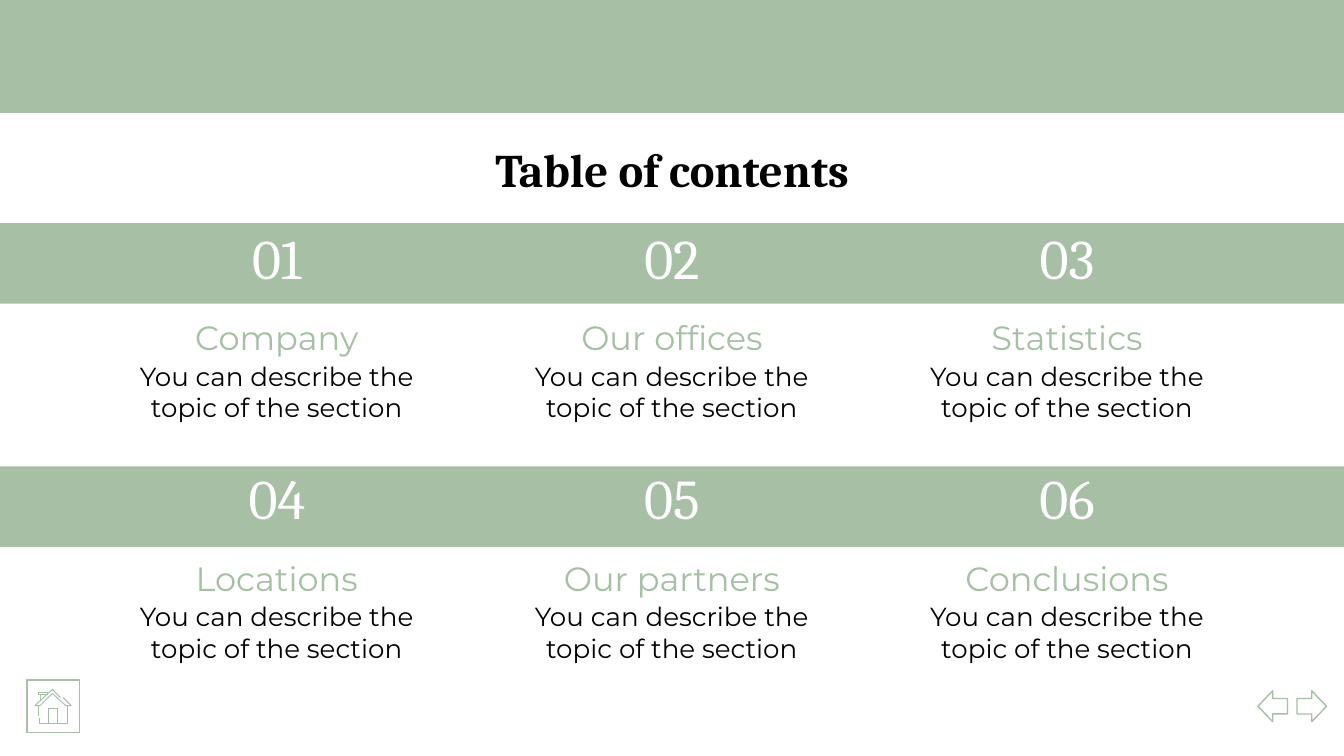
from pptx import Presentation
from pptx.dml.color import RGBColor
from pptx.enum.shapes import MSO_SHAPE as Preset
from pptx.enum.text import MSO_ANCHOR as Anchor, MSO_AUTO_SIZE as AutoSize, PP_ALIGN as Align
from pptx.util import Inches, Pt

SAGE, WHITE, BLACK = "A6BFA5", "FFFFFF", "000000"
SERIF, SANS = "Cambria", "Montserrat"
TOPICS = ["Company", "Our offices", "Statistics",
          "Locations", "Our partners", "Conclusions"]
DESCRIPTION = "You can describe the topic of the section"
COLUMNS = 3
COLUMN_PITCH, ROW_PITCH = 2.94, 1.79
BANDS = [(0, 1.66, 10, 0.6), (0, 3.47, 10, 0.6), (-0.05, -0.06, 10.11, 0.9)]

HOUSE_STROKES = [
    [(0.29, 5.34), (0.29, 5.38), (0.5, 5.38), (0.5, 5.25)],     # walls
    [(0.29, 5.25), (0.29, 5.33)],
    [(0.45, 5.19), (0.39, 5.13), (0.26, 5.25), (0.3, 5.25),     # roof
     (0.39, 5.16), (0.49, 5.25), (0.53, 5.25), (0.47, 5.19)],
    [(0.3, 5.21), (0.3, 5.17), (0.29, 5.17), (0.29, 5.15),      # chimney
     (0.35, 5.15), (0.35, 5.17), (0.3, 5.17)],
    [(0.36, 5.38), (0.36, 5.27), (0.43, 5.27), (0.43, 5.38)],   # door
]


def rgb(hex_color):
    return RGBColor.from_string(hex_color)


def add_preset(slide, preset, box, fill, outline=None, rotation=0):
    shape = slide.shapes.add_shape(preset, *map(Inches, box))
    shape.shadow.inherit = False
    shape.rotation = rotation
    shape.fill.solid()
    shape.fill.fore_color.rgb = rgb(fill)
    if outline:
        shape.line.color.rgb = rgb(outline)
        shape.line.width = Pt(0.75)
    else:
        shape.line.fill.background()


def write_text(holder, text, size, font, color, anchor, bold=False):
    frame = holder.text_frame
    frame.word_wrap = True
    frame.auto_size = AutoSize.NONE
    frame.vertical_anchor = anchor
    frame.margin_left = frame.margin_right = Inches(0.1)
    frame.margin_top = frame.margin_bottom = Inches(0.1)
    paragraph = frame.paragraphs[0]
    paragraph.alignment = Align.CENTER
    run = paragraph.add_run()
    run.text = text
    run.font.size = Pt(size)
    run.font.name = font
    run.font.bold = bold
    run.font.color.rgb = rgb(color)


def add_label(slide, box, *text_style):
    write_text(slide.shapes.add_textbox(*map(Inches, box)), *text_style)


def add_title(slide, text):
    title = slide.shapes.title
    title.left, title.top = Inches(0.78), Inches(0.95)
    title.width, title.height = Inches(8.44), Inches(0.6)
    write_text(title, text, 25, SERIF, BLACK, Anchor.TOP, True)


def add_section(slide, index, topic):
    row, column = divmod(index, COLUMNS)
    center = 5 + (column - 1) * COLUMN_PITCH
    drop = row * ROW_PITCH
    text_left = center - 1.28
    add_label(slide, (center - 0.57, 1.6 + drop, 1.14, 0.66),
              f"{index + 1:02}", 30, SERIF, WHITE, Anchor.BOTTOM)
    add_label(slide, (text_left, 2.58 + drop, 2.56, 0.66),
              DESCRIPTION, 14, SANS, BLACK, Anchor.TOP)
    add_label(slide, (text_left, 2.25 + drop, 2.56, 0.51),
              topic, 18, SANS, SAGE, Anchor.BOTTOM)


def add_stroke(slide, points):
    start, *rest = [(Inches(x), Inches(y)) for x, y in points]
    builder = slide.shapes.build_freeform(*start)
    builder.add_line_segments(rest, close=False)
    stroke = builder.convert_to_shape()
    stroke.shadow.inherit = False
    stroke.fill.background()
    stroke.line.color.rgb = rgb(SAGE)
    stroke.line.width = Pt(0.5)


def add_navigation(slide):
    for left, rotation in ((9.36, 0), (9.65, 180)):
        add_preset(slide, Preset.LEFT_ARROW, (left, 5.14, 0.22, 0.23), WHITE, SAGE, rotation)
    add_preset(slide, Preset.RECTANGLE, (0.2, 5.06, 0.39, 0.39), WHITE, SAGE)
    for points in HOUSE_STROKES:
        add_stroke(slide, points)


def main():
    deck = Presentation()
    deck.slide_width = Inches(10)
    deck.slide_height = deck.slide_width * 9 // 16
    slide = deck.slides.add_slide(deck.slide_layouts[5])
    slide.background.fill.solid()
    slide.background.fill.fore_color.rgb = rgb(WHITE)

    for band in BANDS:
        add_preset(slide, Preset.RECTANGLE, band, SAGE)
    add_title(slide, "Table of contents")
    for index, topic in enumerate(TOPICS):
        add_section(slide, index, topic)
    add_navigation(slide)
    deck.save("out.pptx")


if __name__ == "__main__":
    main()
